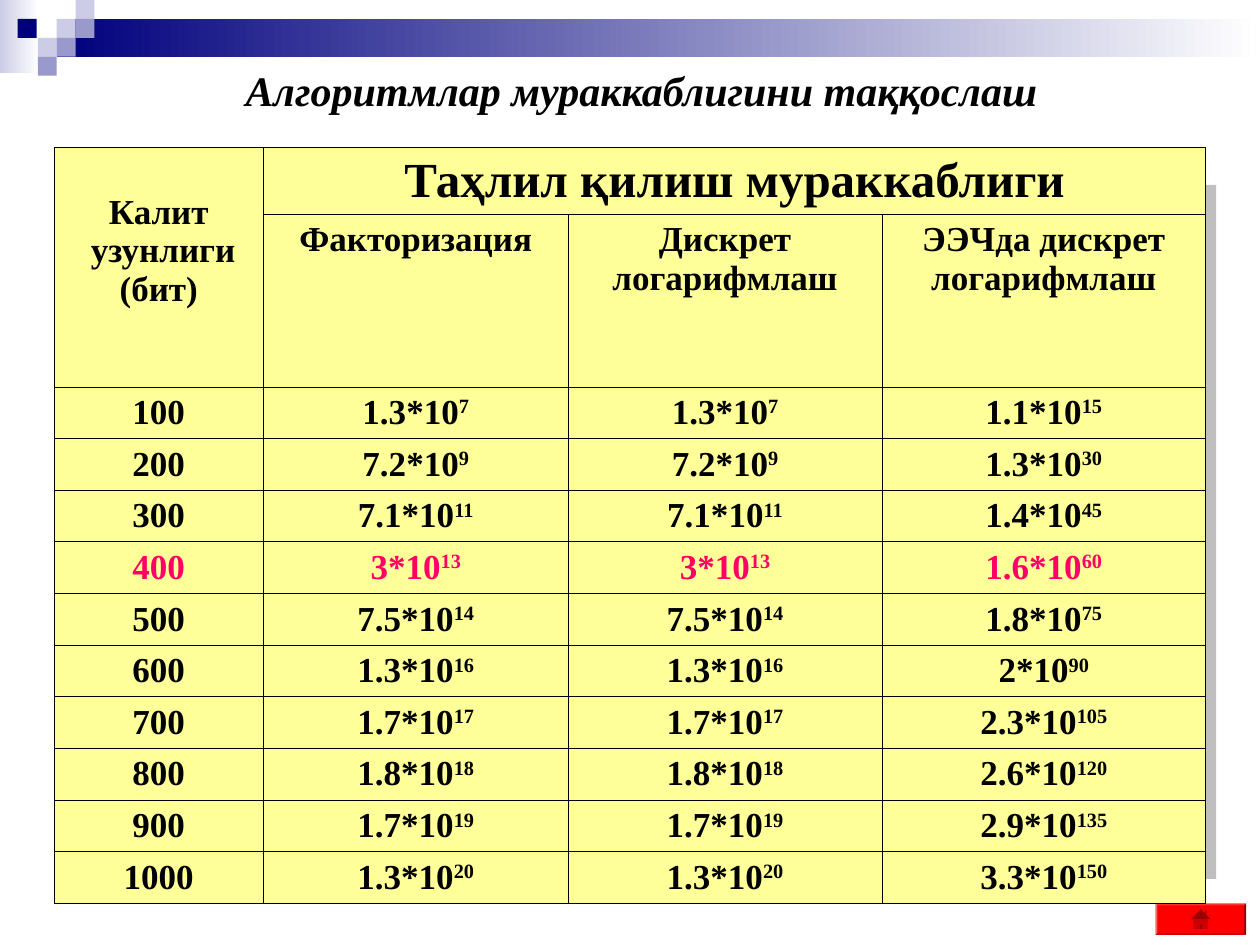
import pptx
import pptx.util
import pptx.dml.color
import pptx.enum.shapes
import pptx.enum.text
import pptx.oxml

Inches = pptx.util.Inches
SHAPE = pptx.enum.shapes.MSO_SHAPE
CENTER = pptx.enum.text.PP_ALIGN.CENTER
MIDDLE = pptx.enum.text.MSO_ANCHOR.MIDDLE
NS = 'xmlns:a="http://schemas.openxmlformats.org/drawingml/2006/main"'
HUES = {
    "navy": "00007D", "pale": "CCCCE6", "mid": "9999CC", "white": "FFFFFF",
    "cream": "FFFF99", "gray": "808080", "black": "000000", "pink": "FF0066",
    "red": "FF0000",
}


def hue(name):
    return pptx.dml.color.RGBColor.from_string(HUES[name])


def style(para, size, color="black", italic=False):
    para.alignment = CENTER
    font = para.font
    font.name, font.size = "Times New Roman", pptx.util.Pt(size)
    font.bold, font.italic = True, italic
    font.color.rgb = hue(color)


prs = pptx.Presentation()
prs.slide_width, prs.slide_height = Inches(10), Inches(7.5)
slide = prs.slides.add_slide(prs.slide_layouts[6])
shapes = slide.shapes

# Banner, corner squares, table backing and bevelled home button
side = 0.15
parts = [
    (SHAPE.RECTANGLE, 0, 0, 0.31, 0.58, "pale", True),
    (SHAPE.RECTANGLE, 0.45, 0.15, 9.55, 0.3, "navy", True),
]
for left, top, color in [
    (0.45, 0.15, "pale"), (0.6, 0, "pale"), (0.6, 0.15, "mid"),
    (0.3, 0.3, "pale"), (0.14, 0.15, "navy"), (0.45, 0.3, "mid"),
    (0.3, 0.45, "mid"),
]:
    parts.append((SHAPE.RECTANGLE, left, top, side, side, color, False))
parts += [
    (SHAPE.RECTANGLE, 0.43, 1.55, 9.14, 5.51, "cream", False),
    (SHAPE.BEVEL, 9.17, 7.17, 0.72, 0.25, "red", False),
    (SHAPE.ACTION_BUTTON_HOME, 9.19, 7.19, 0.68, 0.21, "red", False),
]
for kind, left, top, width, height, color, fade in parts:
    shape = shapes.add_shape(
        kind, Inches(left), Inches(top), Inches(width), Inches(height))
    shape.shadow.inherit = False
    shape.line.fill.background()
    if fade:
        shape.fill.gradient()
        shape.fill.gradient_angle = 0
        for stop, tone in zip(shape.fill.gradient_stops, (color, "white")):
            stop.color.rgb = hue(tone)
    else:
        shape.fill.solid()
        shape.fill.fore_color.rgb = hue(color)
    if kind == SHAPE.BEVEL:
        shape.adjustments[0] = 0.06
    if color == "cream":
        shape.element.spPr.find(pptx.oxml.ns.qn("a:effectLst")).append(
            pptx.oxml.parse_xml(
                f'<a:outerShdw {NS} blurRad="0" dist="107950" dir="18900000">'
                f'<a:srgbClr val="{HUES["gray"]}"><a:alpha val="50000"/>'
                '</a:srgbClr></a:outerShdw>'))

# Title
title = shapes.add_textbox(Inches(0.59), Inches(0.5), Inches(9), Inches(0.42))
frame = title.text_frame
frame.word_wrap = True
frame.vertical_anchor = MIDDLE
frame.text = "Алгоритмлар мураккаблигини таққослаш"
style(frame.paragraphs[0], 24, italic=True)

# Table grid
widths = [1.66, 2.42, 2.49, 2.57]
heights = [0.53, 1.34] + [0.41] * 10
table = shapes.add_table(
    len(heights), len(widths), Inches(0.43), Inches(1.17),
    Inches(sum(widths)), Inches(sum(heights))).table
table.first_row = table.horz_banding = False
for col, width in zip(table.columns, widths):
    col.width = Inches(width)
for row, height in zip(table.rows, heights):
    row.height = Inches(height)
for cell in table.iter_cells():
    props = cell._tc.get_or_add_tcPr()
    for edge in "LRTB":
        props.append(pptx.oxml.parse_xml(
            f'<a:ln{edge} {NS} w="5715"><a:solidFill>'
            f'<a:srgbClr val="{HUES["black"]}"/></a:solidFill></a:ln{edge}>'))
    cell.fill.solid()
    cell.fill.fore_color.rgb = hue("cream")
    cell.margin_bottom = Inches(0.01)
table.cell(0, 0).merge(table.cell(1, 0))
table.cell(0, 1).merge(table.cell(0, 3))

# Headings
heads = [
    (0, 0, "Калит\n узунлиги\n(бит)", 20),
    (0, 1, "Таҳлил қилиш мураккаблиги", 28),
    (1, 1, "Факторизация", 20),
    (1, 2, "Дискрет логарифмлаш", 20),
    (1, 3, "ЭЭЧда дискрет логарифмлаш", 20),
]
for row, col, text, size in heads:
    cell = table.cell(row, col)
    cell.text = text
    for para in cell.text_frame.paragraphs:
        style(para, size)
table.cell(0, 0).margin_top = Inches(0.36)

# Values: factor and power for factoring and discrete log, then for curves
data = [
    ("1.3", "7", "1.1", "15"), ("7.2", "9", "1.3", "30"),
    ("7.1", "11", "1.4", "45"), ("3", "13", "1.6", "60"),
    ("7.5", "14", "1.8", "75"), ("1.3", "16", "2", "90"),
    ("1.7", "17", "2.3", "105"), ("1.8", "18", "2.6", "120"),
    ("1.7", "19", "2.9", "135"), ("1.3", "20", "3.3", "150"),
]
for step, (base, power, curve, high) in enumerate(data, 1):
    bits = step * 100
    color = "pink" if bits == 400 else "black"
    pairs = [(str(bits), ""), (base + "*10", power),
             (base + "*10", power), (curve + "*10", high)]
    for col, (text, raised) in enumerate(pairs):
        para = table.cell(step + 1, col).text_frame.paragraphs[0]
        style(para, 20, color)
        para.add_run().text = text
        if raised:
            run = para.add_run()
            run.text = raised
            run._r.get_or_add_rPr().set("baseline", "30000")

prs.save("out.pptx")
